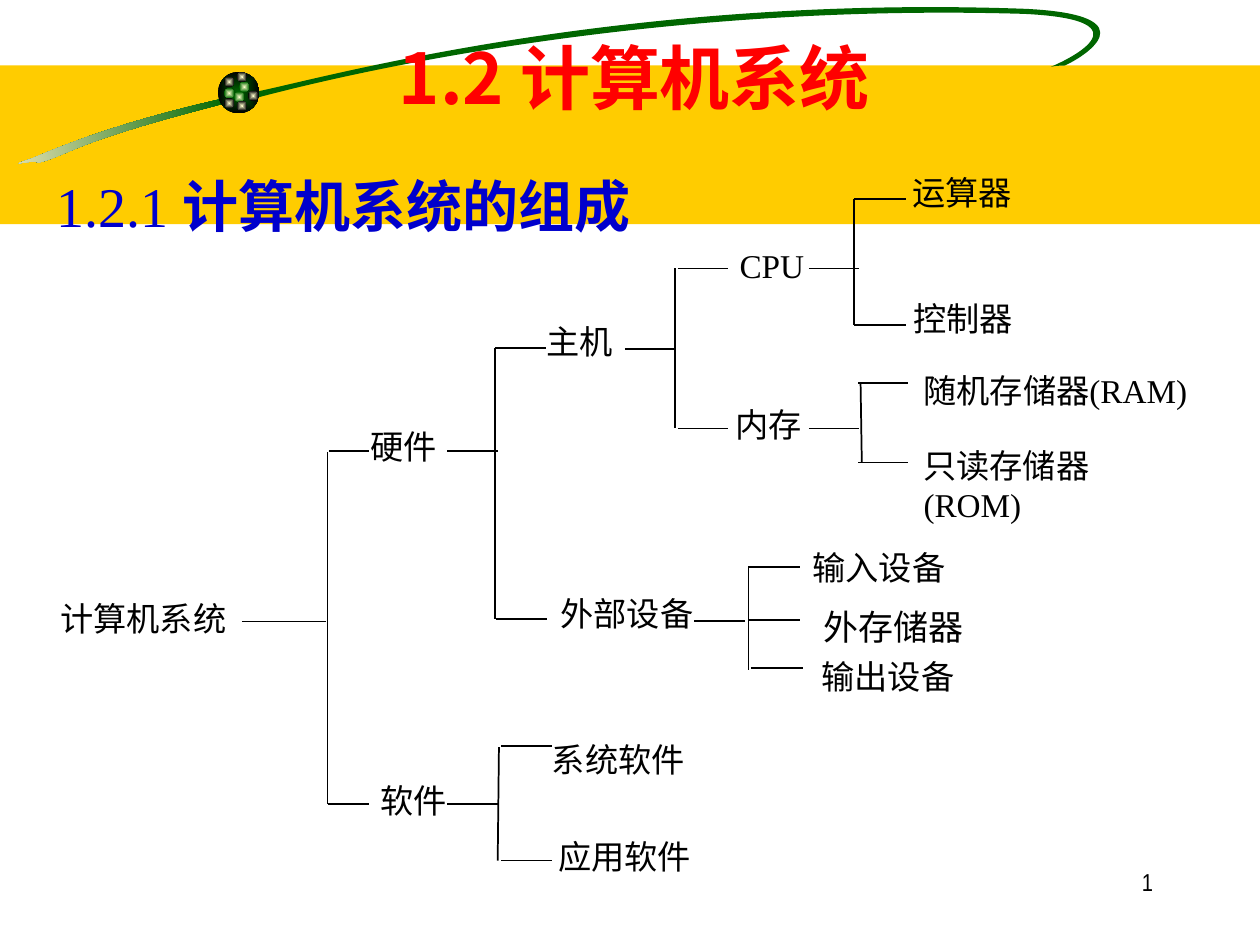
import math

from lxml import etree
from pptx import Presentation
from pptx.dml.color import RGBColor
from pptx.enum.shapes import MSO_CONNECTOR, MSO_SHAPE
from pptx.enum.text import MSO_ANCHOR, MSO_AUTO_SIZE, PP_ALIGN
from pptx.oxml.ns import qn
from pptx.util import Inches, Pt

STRAIGHT = MSO_CONNECTOR.STRAIGHT
RECT, OVAL = MSO_SHAPE.RECTANGLE, MSO_SHAPE.OVAL
TOP, MIDDLE, BOTTOM = MSO_ANCHOR.TOP, MSO_ANCHOR.MIDDLE, MSO_ANCHOR.BOTTOM
CENTER, RIGHT = PP_ALIGN.CENTER, PP_ALIGN.RIGHT
NO_FIT = MSO_AUTO_SIZE.NONE

COLORS = {"band": "FFCC00", "green": "006600", "pale": "F5EBC1", "glow": "FFFFCC",
          "black": "000000", "white": "FFFFFF", "title": "FF0000", "heading": "0000CC"}
SERIF, SANS, NARROW = "Times New Roman", "Noto Sans CJK SC", "Arial Narrow"
INSETS = {19: (0.08, 0.04), 20: (0.1, 0.05)}
TILT = 351.5

# Frame before tilting, then a start point and three bezier points per curve
TAIL = ((-0.03, 0.91, 1.84, 0.30), [
    (1.78, 0.78),
    (0.91, 0.98), (0.49, 1.16), (0.25, 1.26),
    (0.01, 1.34), (0.26, 1.26), (0.31, 1.29),
    (0.57, 1.22), (0.57, 1.13), (1.79, 0.82),
    (1.79, 0.82), (1.78, 0.78), (1.78, 0.78)])
SWOOSH = ((2.01, -0.15, 7.16, 1.09), [
    (2.02, 0.73),
    (2.46, 0.65), (4.86, -0.05), (8.14, 0.07),
    (9.17, 0.12), (8.57, 0.47), (8.45, 0.52),
    (8.45, 0.52), (8.38, 0.52), (8.34, 0.53),
    (8.44, 0.49), (9.16, 0.16), (8.13, 0.11),
    (5.48, 0.03), (3.20, 0.47), (2.06, 0.77),
    (2.06, 0.77), (2.02, 0.73), (2.02, 0.73)])
# Glints on the ball, offset from its corner, with the outer colour
GLINTS = [(0.17, 0.08, "green"), (0.05, 0.04, "black"), (0.05, 0.13, "green"),
          (0.13, 0.16, "green"), (0.24, 0.15, "black"), (0.15, 0.23, "black"),
          (0.05, 0.21, "black"), (0.15, 0.00, "black")]

# Spine (x, y, x, y), feed (x, x, y, width), child stubs (x, x, y, width)
BRANCHES = [
    ((2.60, 2.59, 2.60, 5.38), (1.92, 2.59, 3.93, 0.25),
     [(2.61, 2.93, 2.58, 1), (2.60, 2.93, 5.38, 1)]),
    ((3.93, 1.76, 3.93, 3.91), (3.55, 3.95, 2.58, 1),
     [(3.93, 4.33, 1.76, 1), (3.94, 4.34, 3.91, 1)]),
    ((5.36, 1.13, 5.36, 2.40), (4.96, 5.36, 1.77, 1),
     [(5.38, 5.78, 1.13, 1), (5.38, 5.78, 2.40, 1)]),
    ((6.78, 0.58, 6.78, 1.58), (6.42, 6.82, 1.13, 1),
     [(6.78, 7.19, 0.58, 1), (6.78, 7.19, 1.58, 1)]),
    ((6.83, 2.04, 6.84, 2.67), (6.42, 6.82, 2.40, 1),
     [(6.81, 7.21, 2.04, 1), (6.81, 7.21, 2.67, 1)]),
    ((5.94, 3.50, 5.94, 4.32), (5.51, 5.91, 3.93, 1),
     [(5.94, 6.35, 3.50, 1), (5.94, 6.35, 3.92, 0.75), (5.96, 6.37, 4.30, 1)]),
    ((3.96, 4.93, 3.95, 5.83), (3.55, 3.95, 5.38, 1),
     [(3.98, 4.38, 4.92, 1), (3.98, 4.38, 5.83, 1)]),
]
# Text, left, top, width, height, size
LABELS = [
    ("计算机系统", 0.40, 3.71, 1.62, 0.40, 19), ("硬件", 2.86, 2.34, 1.04, 0.40, 19),
    ("软件", 2.94, 5.15, 1.04, 0.40, 19), ("主机", 4.26, 1.51, 1.12, 0.40, 19),
    ("外部设备", 4.37, 3.67, 1.37, 0.40, 19), ("内存", 5.76, 2.17, 1.04, 0.40, 19),
    ("CPU", 5.79, 0.91, 1.04, 0.40, 19), ("运算器", 7.16, 0.33, 1.04, 0.40, 19),
    ("控制器", 7.17, 1.33, 2.37, 0.40, 19),
    ("随机存储器(RAM)", 7.25, 1.90, 2.42, 0.40, 19),
    ("只读存储器(ROM)", 7.25, 2.49, 2.24, 0.71, 19),
    ("输入设备", 6.37, 3.30, 1.90, 0.40, 19), ("外存储器", 6.44, 3.76, 1.83, 0.44, 20),
    ("输出设备", 6.44, 4.17, 1.79, 0.40, 19), ("应用软件", 4.35, 5.60, 5.09, 0.40, 19),
]


def rgb(name):
    return RGBColor.from_string(COLORS[name])


def style_run(r, size, font, color, bold=False):
    r.font.size, r.font.name, r.font.bold = Pt(size), font, bold
    r.font.color.rgb = rgb(color)
    etree.SubElement(r.font._element, qn("a:ea")).set("typeface", SANS)


def set_frame(sp, box, inset=(0.1, 0.05), anchor=TOP):
    sp.left, sp.top, sp.width, sp.height = (Inches(v) for v in box)
    tf = sp.text_frame
    tf.word_wrap, tf.auto_size, tf.vertical_anchor = True, NO_FIT, anchor
    tf.margin_left = tf.margin_right = Inches(inset[0])
    tf.margin_top = tf.margin_bottom = Inches(inset[1])
    return tf


def finish(sp, color, edge=None, radial=False):
    """Fill without outline; with an edge colour, a gradient from color to edge."""
    sp.shadow.inherit = False
    sp.line.fill.background()
    if edge is None:
        sp.fill.solid()
        sp.fill.fore_color.rgb = rgb(color)
        return
    sp.fill.gradient()
    sp.fill.gradient_angle = 180
    for stop, name in zip(sp.fill.gradient_stops, (color, edge)):
        stop.color.rgb = rgb(name)
    if radial:
        lin = sp.element.spPr.find(qn("a:gradFill")).find(qn("a:lin"))
        shade = etree.Element(qn("a:path"), {"path": "rect"})
        etree.SubElement(shade, qn("a:fillToRect"), dict.fromkeys("ltrb", "50000"))
        lin.getparent().replace(lin, shade)


def add_preset(s, kind, x, y, w, h):
    return s.shapes.add_shape(kind, Inches(x), Inches(y), Inches(w), Inches(h))


def add_curve(s, x, y, frame, outline):
    """Closed bezier outline, held in a tilted frame."""
    left, top, w, h = frame
    cx, cy = left + w / 2, top + h / 2
    cos, sin = math.cos(math.radians(-TILT)), math.sin(math.radians(-TILT))
    points = [(Inches(w / 2 + (px - cx) * cos - (py - cy) * sin),
               Inches(h / 2 + (px - cx) * sin + (py - cy) * cos)) for px, py in outline]
    fb = s.shapes.build_freeform(*points[0])
    fb.add_line_segments(points[1:], close=True)
    sp = fb.convert_to_shape()
    sp.left, sp.top, sp.width, sp.height = (Inches(v) for v in (x + left, y + top, w, h))
    sp.rotation = TILT

    outline_xml = next(sp.element.iter(qn("a:pathLst")))[0]
    outline_xml.set("w", str(Inches(w)))
    outline_xml.set("h", str(Inches(h)))
    for child in list(outline_xml):
        outline_xml.remove(child)
    steps = [("a:moveTo", points[:1])]
    steps += [("a:cubicBezTo", points[i:i + 3]) for i in range(1, len(points), 3)]
    for tag, group in steps + [("a:close", [])]:
        step = etree.SubElement(outline_xml, qn(tag))
        for px, py in group:
            etree.SubElement(step, qn("a:pt"), {"x": str(px), "y": str(py)})
    return sp


def add_header_art(s, x, y, w):
    finish(add_preset(s, RECT, x, y + 0.52, w, 1.26), "band")
    finish(add_curve(s, x, y, *TAIL), "green", "pale")
    finish(add_curve(s, x, y, *SWOOSH), "green")
    ball_x, ball_y = x + 1.73, y + 0.57
    finish(add_preset(s, OVAL, ball_x, ball_y, 0.33, 0.33), "green", "black", True)
    for dx, dy, edge in GLINTS:
        glint = add_preset(s, OVAL, ball_x + dx, ball_y + dy, 0.08, 0.08)
        finish(glint, "glow", edge, True)


def add_side_panel(s, x, y, w, h):
    panel = add_preset(s, RECT, x, y, w, h)
    finish(panel, "white")
    color = next(panel.element.spPr.iter(qn("a:srgbClr")))
    etree.SubElement(color, qn("a:alpha")).set("val", "50000")


def add_titles(s):
    title, body = s.shapes.title, s.placeholders[1]
    for sp in (title, body):
        s.shapes.element.append(sp.element)  # in front of the header art

    tf = set_frame(title, (1.06, 0.28, 7.95, 0.66), INSETS[19], MIDDLE)
    tf.text = "1.2 计算机系统"
    p = tf.paragraphs[0]
    p.alignment = CENTER
    style_run(p.runs[0], 40, SANS, "title", True)

    p = set_frame(body, (0.35, 1.31, 5.12, 0.64)).paragraphs[0]
    pPr = p._p.get_or_add_pPr()
    pPr.set("marL", "0")
    pPr.set("indent", "0")
    etree.SubElement(pPr, qn("a:buNone"))
    p.space_before = Pt(0)
    for text, bold in (("1.2.1 ", False), ("计算机系统的组成", True)):
        r = p.add_run()
        r.text = text
        style_run(r, 32, SERIF, "heading", bold)


def add_line(s, x1, y1, x2, y2, width=1):
    line = s.shapes.add_connector(STRAIGHT, *(Inches(v) for v in (x1, y1, x2, y2)))
    line.line.color.rgb = rgb("black")
    line.line.width = Pt(width)
    etree.SubElement(line._element.spPr, qn("a:effectLst"))


def add_label(s, text, box, size, inset, anchor=TOP, font=SERIF, align=None):
    tf = set_frame(s.shapes.add_textbox(0, 0, 0, 0), box, inset, anchor)
    tf.text = text
    p = tf.paragraphs[0]
    p.alignment = align
    style_run(p.runs[0], size, font, "black")


def add_tree(s, x, y):
    for (x1, y1, x2, y2), feed, stubs in BRANCHES:
        add_line(s, x + x1, y + y1, x + x2, y + y2)
        for start, end, level, width in [feed] + stubs:
            add_line(s, x + start, y + level, x + end, y + level, width)
    for text, left, top, w, h, size in LABELS:
        add_label(s, text, (x + left, y + top, w, h), size, INSETS[size])
    add_label(s, "系统软件", (x + 4.24, y + 4.3, 5.39, 0.88), 19, (0.14, 0), BOTTOM)


def main():
    prs = Presentation()
    prs.slide_width, prs.slide_height = Inches(10), Inches(7.5)
    s = prs.slides.add_slide(prs.slide_layouts[1])
    add_header_art(s, 0, 0, 10)
    add_side_panel(s, 0.74, 2.06, 1.22, 5.44)
    add_titles(s)
    add_tree(s, 0, 1)
    add_label(s, "1", (7.17, 6.83, 2.08, 0.5), 14, INSETS[20], font=NARROW, align=RIGHT)
    prs.save("out.pptx")


if __name__ == "__main__":
    main()
